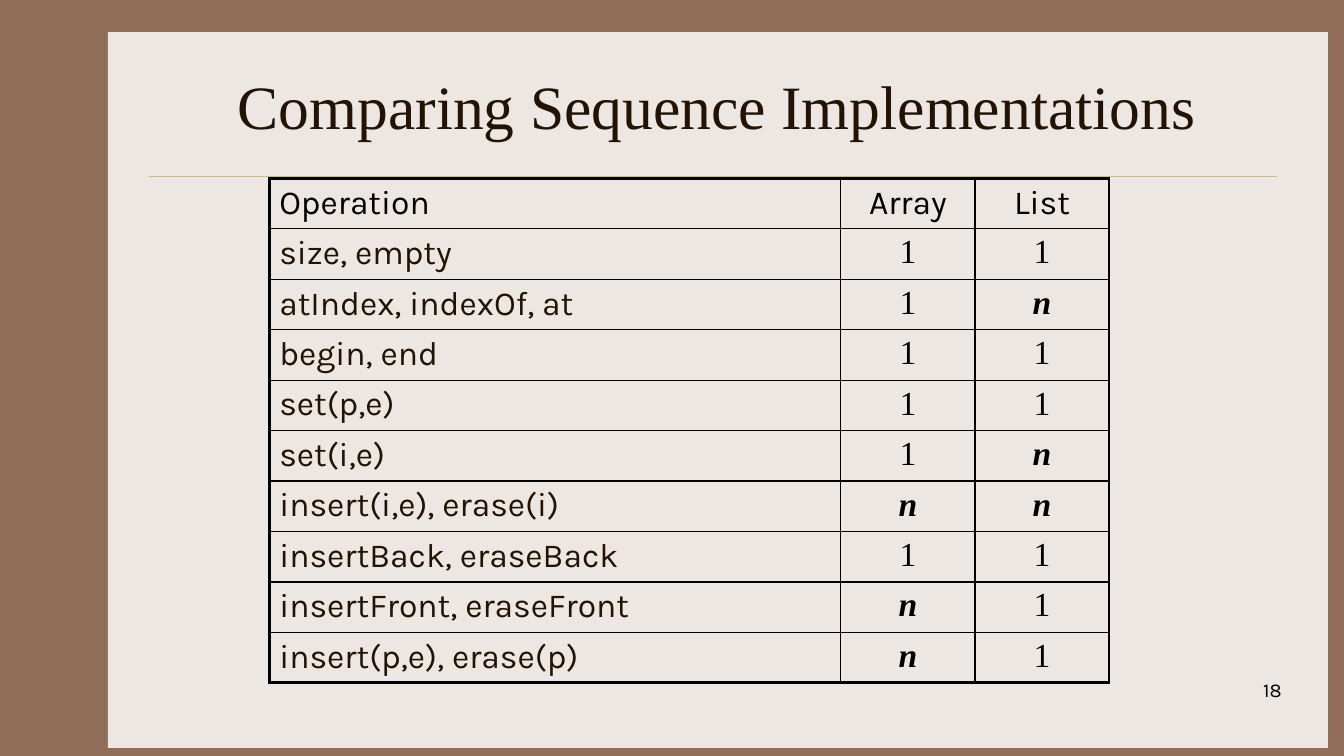
from typing import NamedTuple

from lxml.etree import SubElement
from pptx import Presentation
from pptx.dml.color import RGBColor
from pptx.enum.shapes import MSO_CONNECTOR, MSO_SHAPE
from pptx.enum.text import MSO_ANCHOR, PP_ALIGN
from pptx.oxml import parse_xml
from pptx.oxml.ns import nsdecls, qn
from pptx.util import Inches, Pt

COLORS = {
    "frame": "906D58",
    "panel": "EDE7E3",
    "rule": "CBBD83",
    "brown": "221304",
    "black": "000000",
}
SANS = "Karla"
SERIF = "Times New Roman"
COLUMN_WIDTHS = (5.67, 1.33, 1.33)
ROW_HEIGHT = 0.49
THIN, THICK = 1, 2.25


class Cost(NamedTuple):
    operation: str
    array: str
    linked: str


HEADINGS = Cost("Operation", "Array", "List")
COSTS = (
    Cost("size, empty", "1", "1"),
    Cost("atIndex, indexOf, at", "1", "n"),
    Cost("begin, end", "1", "1"),
    Cost("set(p,e)", "1", "1"),
    Cost("set(i,e)", "1", "n"),
    Cost("insert(i,e), erase(i)", "n", "n"),
    Cost("insertBack, eraseBack", "1", "1"),
    Cost("insertFront, eraseFront", "n", "1"),
    Cost("insert(p,e), erase(p)", "n", "1"),
)


def rgb(name: str) -> RGBColor:
    return RGBColor.from_string(COLORS[name])


def style_text(frame, align, size: float, font: str, color: str, variable: bool = False) -> None:
    """Format the only paragraph; a variable is set in bold italics."""
    paragraph = frame.paragraphs[0]
    paragraph.alignment = align
    for run in paragraph.runs:
        run.font.size = Pt(size)
        run.font.name = font
        run.font.color.rgb = rgb(color)
        run.font.bold = run.font.italic = variable


def draw_borders(cell, widths: dict[str, float]) -> None:
    """Put the border lines ahead of the cell's fill, as the schema asks."""
    properties = cell._tc.get_or_add_tcPr()
    for position, (side, width) in enumerate(widths.items()):
        properties.insert(position, parse_xml(
            f'<a:ln{side} {nsdecls("a")} w="{Pt(width)}"><a:solidFill>'
            f'<a:srgbClr val="{COLORS["black"]}"/></a:solidFill></a:ln{side}>'))


def add_backdrop(slide) -> None:
    slide.background.fill.solid()
    slide.background.fill.fore_color.rgb = rgb("frame")
    panel = slide.shapes.add_shape(
        MSO_SHAPE.RECTANGLE, Inches(1.07), Inches(0.32), Inches(12.1), Inches(7.1))
    panel.shadow.inherit = False
    panel.fill.solid()
    panel.fill.fore_color.rgb = rgb("panel")
    panel.line.fill.background()
    rule = slide.shapes.add_connector(
        MSO_CONNECTOR.STRAIGHT, Inches(1.48), Inches(1.75), Inches(12.67), Inches(1.75))
    rule.line.color.rgb = rgb("rule")
    rule.line.width = Pt(0.25)
    SubElement(rule._element.spPr, qn("a:effectLst"))
    # The title belongs in front of the panel.
    rule._element.addnext(slide.shapes.title._element)


def add_title(slide) -> None:
    title = slide.shapes.title
    title.left, title.top = Inches(1.56), Inches(0.42)
    title.width, title.height = Inches(11.11), Inches(1.25)
    title.text_frame.text = "Comparing Sequence Implementations"
    title.text_frame.vertical_anchor = MSO_ANCHOR.MIDDLE
    style_text(title.text_frame, PP_ALIGN.CENTER, 44, SERIF, "brown")


def add_page_number(slide) -> None:
    number = slide.shapes.add_textbox(Inches(10.03), Inches(6.68), Inches(2.78), Inches(0.5))
    number.text_frame.word_wrap = True
    number.text_frame.text = "18"
    style_text(number.text_frame, PP_ALIGN.RIGHT, 14, SANS, "black")


def add_cost_table(slide) -> None:
    rows = (HEADINGS, *COSTS)
    last_row, last_column = len(rows) - 1, len(COLUMN_WIDTHS) - 1
    table = slide.shapes.add_table(
        len(rows), len(COLUMN_WIDTHS), Inches(2.67), Inches(1.77),
        Inches(sum(COLUMN_WIDTHS)), Inches(ROW_HEIGHT * len(rows))).table
    table.first_row = table.horz_banding = False
    for column, width in zip(table.columns, COLUMN_WIDTHS):
        column.width = Inches(width)
    for r, cost in enumerate(rows):
        table.rows[r].height = Inches(ROW_HEIGHT)
        for c, value in enumerate(cost):
            cell = table.cell(r, c)
            cell.fill.background()
            cell.text_frame.text = value
            style_text(
                cell.text_frame,
                PP_ALIGN.CENTER if c else PP_ALIGN.LEFT,
                24,
                SERIF if r and c else SANS,
                "brown" if r and not c else "black",
                variable=value == "n")
            draw_borders(cell, {
                "L": THICK if c == 0 else THIN,
                "R": THICK if c == last_column else THIN,
                "T": THICK if r == 0 else THIN,
                "B": THICK if r == last_row else THIN,
            })


def main() -> None:
    presentation = Presentation()
    presentation.slide_width = Inches(13.33)
    presentation.slide_height = Inches(7.5)
    slide = presentation.slides.add_slide(presentation.slide_layouts[5])
    add_backdrop(slide)
    add_title(slide)
    add_page_number(slide)
    add_cost_table(slide)
    presentation.save("out.pptx")


if __name__ == "__main__":
    main()
